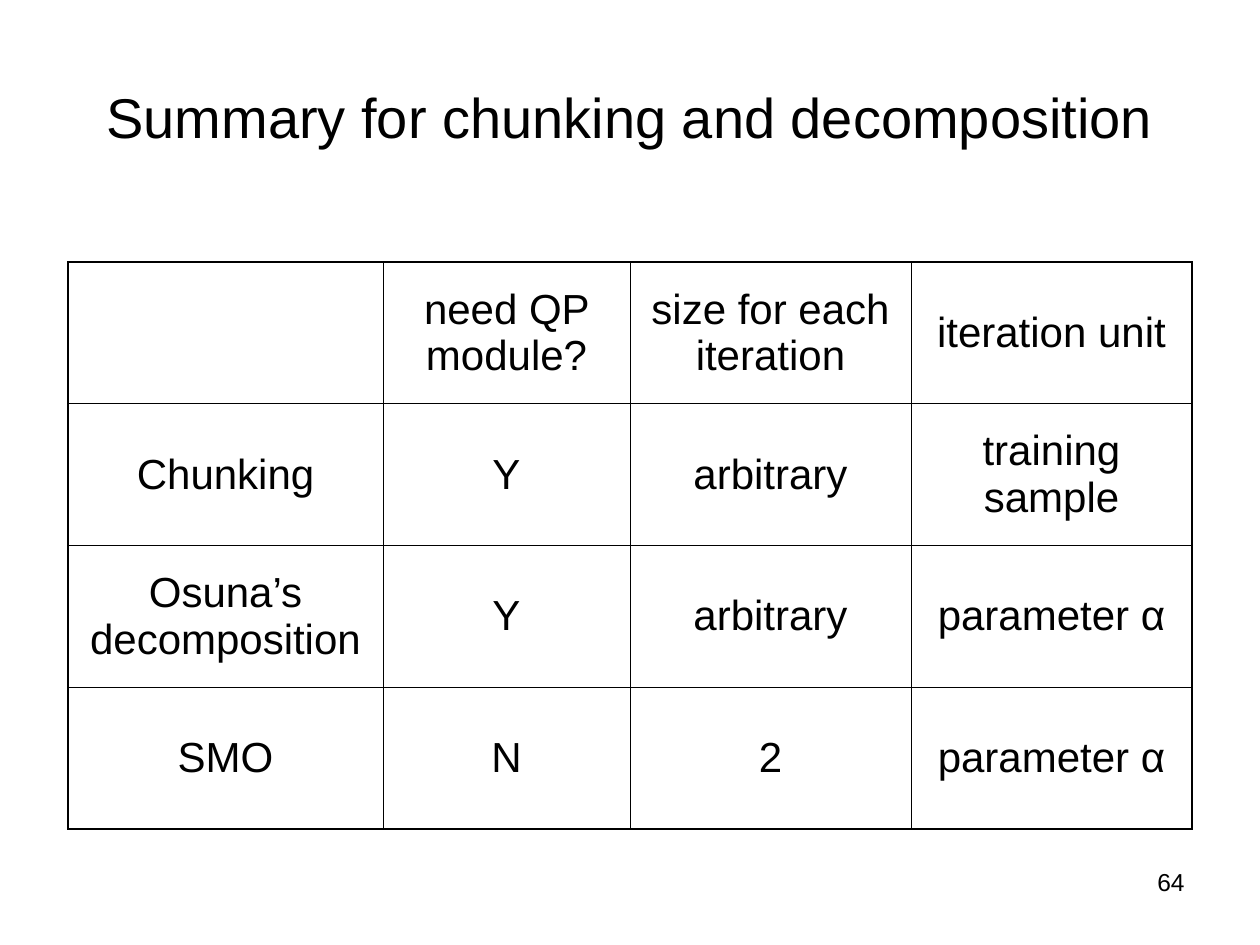
from dataclasses import dataclass

from lxml.etree import SubElement
from pptx import Presentation
from pptx.dml.color import RGBColor
from pptx.enum.text import MSO_ANCHOR as Anchor, PP_ALIGN as Align
from pptx.oxml.ns import qn
from pptx.util import Emu, Pt

TITLE = "Summary for chunking and decomposition"
PAGE_NUMBER = "64"
ROWS = [
    ["", "need QP module?", "size for each iteration", "iteration unit"],
    ["Chunking", "Y", "arbitrary", "training sample"],
    ["Osuna’s decomposition", "Y", "arbitrary", "parameter α"],
    ["SMO", "N", "2", "parameter α"],
]

SLIDE_SIZE = (1260, 945)
TITLE_BOX = (63, 38, 1134, 157)
TABLE_ORIGIN = (68, 262)
TABLE_HEIGHT = 567
COLUMN_WIDTHS = [315, 247, 281, 281]
PAGE_NUMBER_BOX = (903, 861, 294, 65)


@dataclass(frozen=True)
class Theme:
    font: str = "Arial"
    ink: str = "000000"
    title_size: int = 32
    cell_size: int = 24
    page_number_size: int = 14
    outer_line: float = 1.08
    inner_line: float = 0.45


THEME = Theme()


def px(length):
    return Emu(round(length * 914400 / 126))


def box(lengths):
    return [px(length) for length in lengths]


def write(text_frame, text, size, align):
    text_frame.text = text
    paragraph = text_frame.paragraphs[0]
    paragraph.alignment = align
    paragraph.font.name = THEME.font
    paragraph.font.size = Pt(size)
    paragraph.font.color.rgb = RGBColor.from_string(THEME.ink)


def add_borders(cell, outer_sides):
    properties = cell._tc.get_or_add_tcPr()
    for side in "LRTB":
        width = THEME.outer_line if side in outer_sides else THEME.inner_line
        line = SubElement(properties, qn(f"a:ln{side}"), w=str(Pt(width)))
        fill = SubElement(line, qn("a:solidFill"))
        SubElement(fill, qn("a:srgbClr"), val=THEME.ink)


def add_summary_table(slide):
    last_row, last_column = len(ROWS) - 1, len(COLUMN_WIDTHS) - 1
    frame = slide.shapes.add_table(
        len(ROWS), len(COLUMN_WIDTHS),
        *box((*TABLE_ORIGIN, sum(COLUMN_WIDTHS), TABLE_HEIGHT)))
    table = frame.table
    table.first_row = table.horz_banding = False
    for column, width in zip(table.columns, COLUMN_WIDTHS):
        column.width = px(width)
    for r, row in enumerate(ROWS):
        for c, text in enumerate(row):
            cell = table.cell(r, c)
            write(cell.text_frame, text, THEME.cell_size, Align.CENTER)
            cell.vertical_anchor = Anchor.MIDDLE
            on_edge = {"L": c == 0, "R": c == last_column,
                       "T": r == 0, "B": r == last_row}
            add_borders(cell, [side for side, edge in on_edge.items() if edge])
            cell.fill.background()


def main():
    presentation = Presentation()
    presentation.slide_width, presentation.slide_height = box(SLIDE_SIZE)
    slide = presentation.slides.add_slide(presentation.slide_layouts[5])

    title = slide.shapes.title
    title.left, title.top, title.width, title.height = box(TITLE_BOX)
    title.text_frame.vertical_anchor = Anchor.MIDDLE
    write(title.text_frame, TITLE, THEME.title_size, Align.CENTER)

    add_summary_table(slide)

    page_number = slide.shapes.add_textbox(*box(PAGE_NUMBER_BOX))
    page_number.text_frame.word_wrap = True
    write(page_number.text_frame, PAGE_NUMBER, THEME.page_number_size, Align.RIGHT)

    presentation.save("out.pptx")


if __name__ == "__main__":
    main()
